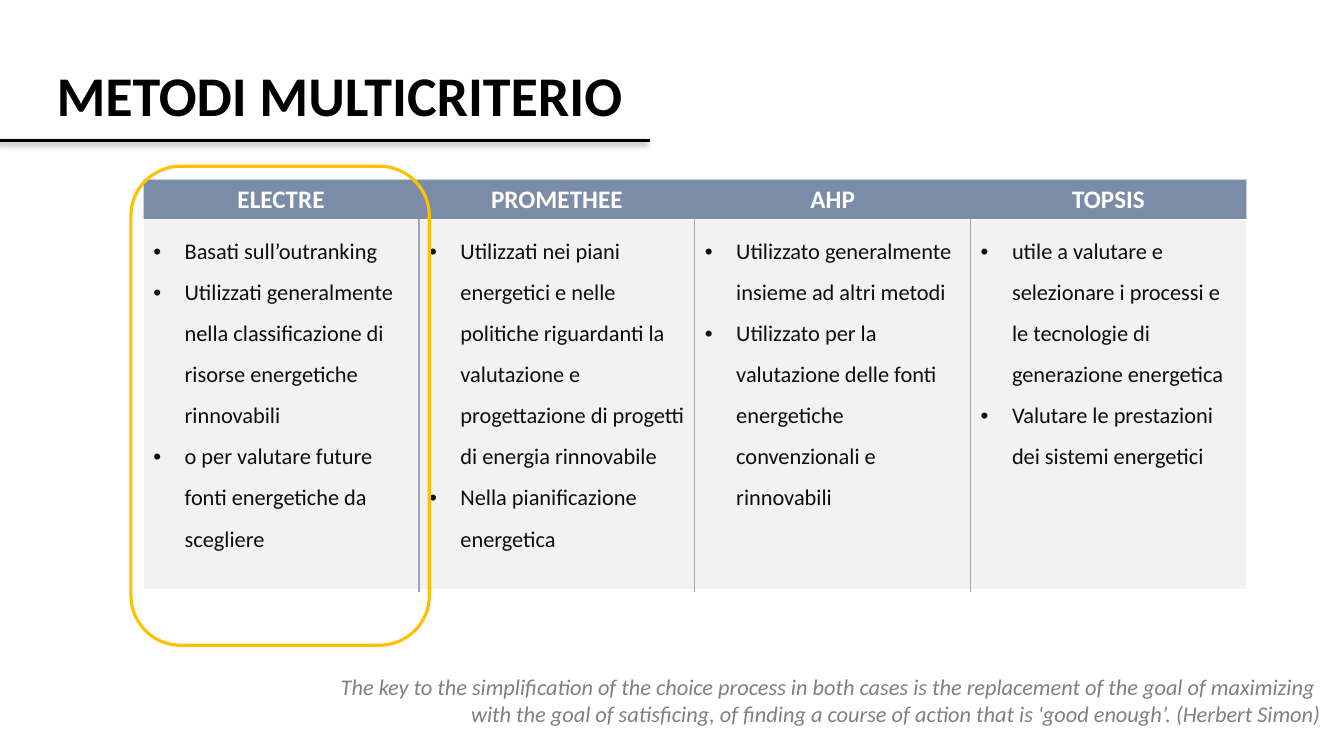
from dataclasses import dataclass

from lxml import etree
from pptx import Presentation
from pptx.dml.color import RGBColor
from pptx.enum import shapes, text
from pptx.oxml import ns
from pptx.util import Cm, Pt

FONT = "Calibri"
COLUMN_WIDTH = 6.95
TABLE_LEFT = 3.61


@dataclass
class Method:
    name: str
    points: list[str]


@dataclass
class Border:
    color: str
    width: float


METHODS = [
    Method("ELECTRE", [
        "Basati sull’outranking",
        "Utilizzati generalmente nella classificazione di risorse energetiche rinnovabili",
        "o per valutare future fonti energetiche da scegliere",
    ]),
    Method("PROMETHEE", [
        "Utilizzati nei piani energetici e nelle politiche riguardanti la valutazione "
        "e progettazione di progetti di energia rinnovabile",
        "Nella pianificazione energetica",
    ]),
    Method("AHP", [
        "Utilizzato generalmente insieme ad altri metodi",
        "Utilizzato per la valutazione delle fonti energetiche convenzionali e rinnovabili",
    ]),
    Method("TOPSIS", [
        "utile a valutare e selezionare i processi e le tecnologie di generazione energetica",
        "Valutare le prestazioni dei sistemi energetici",
    ]),
]
QUOTE = [
    "The key to the simplification of the choice process in both cases is "
    "the replacement of the goal of maximizing ",
    "with the goal of satisficing, of finding a course of action that is "
    "'good enough’. (Herbert Simon)",
]


def rgb(value: str) -> RGBColor:
    return RGBColor.from_string(value)


def add_xml(parent, tag: str, **attributes):
    element = etree.SubElement(parent, ns.qn(tag))
    for key, value in attributes.items():
        element.set(key, str(value))
    return element


def format_runs(p, size: float, color: str, bold=False, italic=False) -> None:
    for r in p.runs:
        r.font.name = FONT
        r.font.size = Pt(size)
        r.font.bold = bold
        r.font.italic = italic
        r.font.color.rgb = rgb(color)


def add_bullet(p) -> None:
    pPr = p._p.get_or_add_pPr()
    pPr.set("marL", str(Cm(0.79)))
    pPr.set("indent", str(-Cm(0.79)))
    add_xml(pPr, "a:buFont", typeface="Arial")
    add_xml(pPr, "a:buChar", char="•")


def set_borders(cell, left, right, top, bottom) -> None:
    """Draw the four cell edges; None leaves an edge without a line."""
    tcPr = cell._tc.get_or_add_tcPr()
    for side, border in zip("LRTB", (left, right, top, bottom)):
        if border is None:
            add_xml(add_xml(tcPr, f"a:ln{side}", w=0), "a:noFill")
        else:
            ln = add_xml(tcPr, f"a:ln{side}", w=Pt(border.width))
            add_xml(add_xml(ln, "a:solidFill"), "a:srgbClr", val=border.color)


def add_row_table(s, top: float, height: float, fill: str, outer: Border,
                  inner: Border | None, above: Border, below: Border):
    """Add a one-row table with a column per method and return its cells."""
    count = len(METHODS)
    frame = s.shapes.add_table(1, count, Cm(TABLE_LEFT), Cm(top),
                               Cm(COLUMN_WIDTH * count), Cm(height))
    cells = list(frame.table.rows[0].cells)
    for i, cell in enumerate(cells):
        set_borders(cell, inner if i else outer,
                    inner if i < count - 1 else outer, above, below)
        cell.fill.solid()
        cell.fill.fore_color.rgb = rgb(fill)
    return cells


def add_title(s) -> None:
    title = s.shapes.title
    title.left, title.top, title.width, title.height = Cm(1.17), Cm(0.97), Cm(15.21), Cm(2.41)
    tf = title.text_frame
    tf.text = "METODI MULTICRITERIO"
    tf.word_wrap = True
    tf.auto_size = text.MSO_AUTO_SIZE.NONE
    tf.vertical_anchor = text.MSO_ANCHOR.BOTTOM
    p = tf.paragraphs[0]
    p.alignment = text.PP_ALIGN.LEFT
    p.line_spacing = 0.9
    p.space_before = Pt(0)
    p.space_after = Pt(6)
    format_runs(p, 40, "000000", bold=True)


def add_title_rule(s) -> None:
    rule = s.shapes.add_connector(shapes.MSO_CONNECTOR.STRAIGHT,
                                  Cm(0), Cm(3.53), Cm(16.38), Cm(3.53))
    rule.line.color.rgb = rgb("000000")
    rule.line.width = Pt(2.25)
    effects = add_xml(rule._element.spPr, "a:effectLst")
    shadow = add_xml(effects, "a:outerShdw", blurRad=Pt(4), dist=Pt(3),
                     dir=135 * 60000, algn="tr", rotWithShape=0)
    add_xml(add_xml(shadow, "a:srgbClr", val="000000"), "a:alpha", val=40000)


def add_methods(s) -> None:
    edge, grey = Border("CCD1DA", 0.5), Border("A6A6A6", 1)
    white = Border("FFFFFF", 1)
    headers = add_row_table(s, 4.52, 1.01, "7B8CA9", edge, None, edge, Border("FFFFFF", 1.5))
    bodies = add_row_table(s, 5.53, 9.35, "F2F2F2", white, grey, white, Border("FFFFFF", 3))
    for method, header, body in zip(METHODS, headers, bodies):
        header.text_frame.text = method.name
        p = header.text_frame.paragraphs[0]
        p.alignment = text.PP_ALIGN.CENTER
        format_runs(p, 18, "FFFFFF", bold=True)
        body.text_frame.text = "\n".join(method.points)
        for p in body.text_frame.paragraphs:
            p.line_spacing = 1.5
            add_bullet(p)
            format_runs(p, 16, "0D0D0D")


def add_highlight(s) -> None:
    sp = s.shapes.add_shape(shapes.MSO_SHAPE.ROUNDED_RECTANGLE,
                            Cm(3.3), Cm(4.19), Cm(7.52), Cm(12.07))
    sp.shadow.inherit = False
    sp.fill.background()
    sp.line.color.rgb = rgb("FFC000")
    sp.line.width = Pt(2.25)


def add_quote(s) -> None:
    tf = s.shapes.add_textbox(Cm(5.41), Cm(16.84), Cm(28.12), Cm(1.63)).text_frame
    tf.word_wrap = True
    tf.text = "\n".join(QUOTE)
    for p in tf.paragraphs:
        p.alignment = text.PP_ALIGN.RIGHT
        format_runs(p, 16, "808080", italic=True)


def main() -> None:
    prs = Presentation()
    prs.slide_width, prs.slide_height = Cm(33.87), Cm(19.05)
    s = prs.slides.add_slide(prs.slide_layouts[5])
    add_quote(s)
    add_title(s)
    add_title_rule(s)
    add_methods(s)
    add_highlight(s)
    prs.save("out.pptx")


if __name__ == "__main__":
    main()
